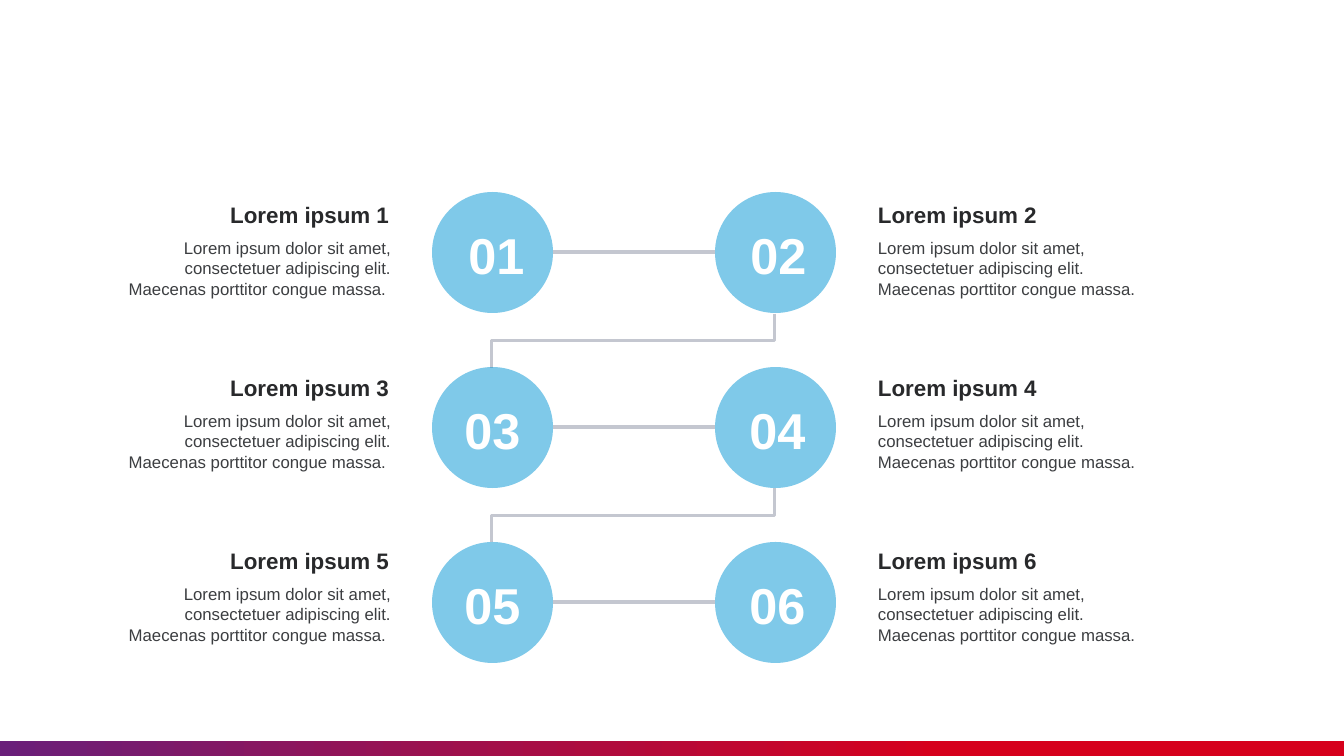
from lxml import etree
from pptx import Presentation
from pptx.dml.color import RGBColor
from pptx.enum.shapes import MSO_CONNECTOR, MSO_SHAPE
from pptx.enum.text import MSO_ANCHOR, PP_ALIGN
from pptx.oxml.ns import qn
from pptx.util import Emu, Pt

STRAIGHT, ELBOW = MSO_CONNECTOR.STRAIGHT, MSO_CONNECTOR.ELBOW
CIRCLE, RECTANGLE = MSO_SHAPE.FLOWCHART_CONNECTOR, MSO_SHAPE.RECTANGLE
TOP, MIDDLE, BOTTOM = MSO_ANCHOR.TOP, MSO_ANCHOR.MIDDLE, MSO_ANCHOR.BOTTOM
LEFT, CENTER, RIGHT = PP_ALIGN.LEFT, PP_ALIGN.CENTER, PP_ALIGN.RIGHT

EMU_PER_PX = 914400 / 100.8
SLIDE_WIDTH, SLIDE_HEIGHT = 1344, 756
DIAMETER = 121
RADIUS = DIAMETER // 2
CIRCLE_LEFTS = (432, 715)
CIRCLE_TOP, CIRCLE_PITCH = 192, 175
NUMBER_LEFTS = (455, 737, 451, 736, 451, 736)
TEXT_LEFTS = (93, 868)
TEXT_ALIGNMENTS = (RIGHT, LEFT)
HEADING_TOP, TEXT_PITCH = 197, 173
ROWS = 3
DESCRIPTION = ("Lorem ipsum dolor sit amet, consectetuer adipiscing elit. "
               "Maecenas porttitor congue massa.")


def px(length):
    return Emu(round(length * EMU_PER_PX))


def color(value):
    return RGBColor.from_string(value)


def add_bar(slide):
    bar = slide.shapes.add_shape(RECTANGLE, px(0), px(741), px(SLIDE_WIDTH), px(15))
    bar.shadow.inherit = False
    bar.line.fill.background()
    bar.fill.gradient()
    bar.fill.gradient_angle = 0
    for stop, position, value in zip(bar.fill.gradient_stops, (0, 0.7), ("6A1F7A", "D6001C")):
        stop.position = position
        stop.color.rgb = color(value)


def add_circle(slide, left, top):
    circle = slide.shapes.add_shape(CIRCLE, px(left), px(top), px(DIAMETER), px(DIAMETER))
    circle.shadow.inherit = False
    circle.line.fill.background()
    circle.fill.solid()
    circle.fill.fore_color.rgb = color("0094D5")
    shade = circle._element.spPr.find(f"{qn('a:solidFill')}/{qn('a:srgbClr')}")
    etree.SubElement(shade, qn("a:alpha")).set("val", "50000")


def add_link(slide, kind, left, top, width, height):
    link = slide.shapes.add_connector(
        kind, px(left), px(top), px(left + width), px(top + height))
    link.line.color.rgb = color("C4C7D0")
    link.line.width = Pt(2.25)
    etree.SubElement(link._element.spPr, qn("a:effectLst"))
    return link


def add_row_link(slide, top):
    left = CIRCLE_LEFTS[0] + DIAMETER
    add_link(slide, STRAIGHT, left, top + RADIUS, CIRCLE_LEFTS[1] - left, 0)


def add_step_link(slide, top):
    drop = CIRCLE_PITCH - DIAMETER
    span = CIRCLE_LEFTS[1] - CIRCLE_LEFTS[0]
    center_x = CIRCLE_LEFTS[0] + RADIUS + span // 2
    center_y = top + DIAMETER + drop // 2
    link = add_link(slide, ELBOW, center_x - drop // 2, center_y - span // 2, drop, span)
    link._element.spPr.find(qn("a:xfrm")).set("rot", "5400000")


def add_text(slide, text, box, size, value, alignment, anchor, spacing, bold=False):
    shape = slide.shapes.add_textbox(*map(px, box))
    frame = shape.text_frame
    frame.word_wrap = True
    frame.vertical_anchor = anchor
    paragraph = frame.paragraphs[0]
    paragraph.text = text
    paragraph.alignment = alignment
    paragraph.line_spacing = spacing
    paragraph.space_before = Pt(10)
    paragraph.font.name = "Arial"
    paragraph.font.size = Pt(size)
    paragraph.font.bold = bold
    paragraph.font.color.rgb = color(value)


def add_step_text(slide, index):
    row, column = divmod(index, 2)
    number = index + 1
    number_top = CIRCLE_TOP + 21 + row * CIRCLE_PITCH
    heading_top = HEADING_TOP + row * TEXT_PITCH
    left, alignment = TEXT_LEFTS[column], TEXT_ALIGNMENTS[column]
    description = DESCRIPTION + " " if alignment == RIGHT else DESCRIPTION
    add_text(slide, f"{number:02}", (NUMBER_LEFTS[index], number_top, 83, 76),
             36, "FFFFFF", CENTER, MIDDLE, 1.1, True)
    add_text(slide, f"Lorem ipsum {number}", (left, heading_top, 306, 36),
             16, "28292B", alignment, BOTTOM, 1.2, True)
    add_text(slide, description, (left, heading_top + 36, 308, 81),
             12, "3C3E41", alignment, TOP, 1.0)


def main():
    presentation = Presentation()
    presentation.slide_width = px(SLIDE_WIDTH)
    presentation.slide_height = px(SLIDE_HEIGHT)
    slide = presentation.slides.add_slide(presentation.slide_layouts[6])
    add_bar(slide)
    for row in range(ROWS):
        top = CIRCLE_TOP + row * CIRCLE_PITCH
        for left in CIRCLE_LEFTS:
            add_circle(slide, left, top)
        add_row_link(slide, top)
        if row < ROWS - 1:
            add_step_link(slide, top)
    for index in range(ROWS * 2):
        add_step_text(slide, index)
    presentation.save("out.pptx")


if __name__ == "__main__":
    main()
